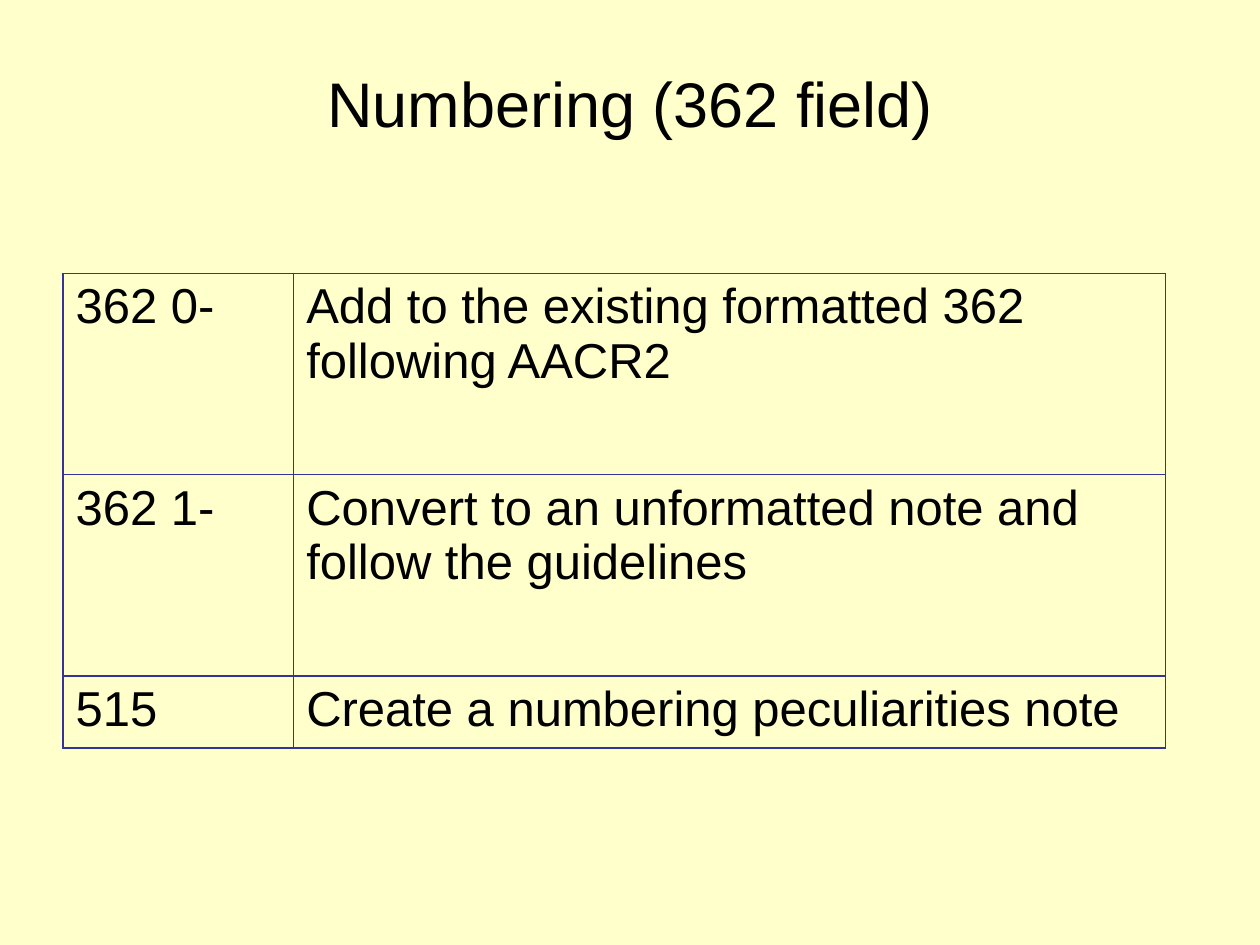
from dataclasses import dataclass

from lxml import etree
from pptx import Presentation
from pptx.dml.color import RGBColor
from pptx.enum.text import MSO_ANCHOR, PP_ALIGN
from pptx.oxml.ns import qn
from pptx.util import Cm, Pt

CENTER, LEFT = PP_ALIGN.CENTER, PP_ALIGN.LEFT
MIDDLE, TOP = MSO_ANCHOR.MIDDLE, MSO_ANCHOR.TOP
TITLE_ONLY = 5
CELL_SIDES = ("a:lnL", "a:lnR", "a:lnT", "a:lnB")


@dataclass(frozen=True)
class Theme:
    background: str = "FFFFCC"
    text: str = "000000"
    border: str = "333399"
    font: str = "Arial"
    title_size: int = 36
    cell_size: int = 28
    border_width: float = 0.75


@dataclass(frozen=True)
class FieldRule:
    field: str
    action: str
    height: float  # cm


THEME = Theme()
COLUMN_WIDTHS = (4.65, 17.57)  # cm
RULES = (
    FieldRule("362 0-", "Add to the existing formatted 362 following AACR2", 4.06),
    FieldRule("362 1-", "Convert to an unformatted note and follow the guidelines", 4.06),
    FieldRule("515", "Create a numbering peculiarities note", 1.45),
)


def write_text(tf, text: str, size: int, align) -> None:
    tf.word_wrap = True
    p = tf.paragraphs[0]
    p.text = text
    p.alignment = align
    p.font.name = THEME.font
    p.font.size = Pt(size)
    p.font.color.rgb = RGBColor.from_string(THEME.text)


def set_borders(cell) -> None:
    tc_pr = cell._tc.get_or_add_tcPr()
    for i, side in enumerate(CELL_SIDES):
        ln = etree.Element(qn(side), w=str(Pt(THEME.border_width)))
        fill = etree.SubElement(ln, qn("a:solidFill"))
        etree.SubElement(fill, qn("a:srgbClr"), val=THEME.border)
        tc_pr.insert(i, ln)  # borders come before the cell fill


def add_title(s, text: str) -> None:
    sp = s.shapes.title
    sp.left, sp.top, sp.width, sp.height = Cm(1.27), Cm(0.76), Cm(22.86), Cm(2.62)
    sp.text_frame.vertical_anchor = MIDDLE
    write_text(sp.text_frame, text, THEME.title_size, CENTER)


def add_rules_table(s, rules: tuple[FieldRule, ...]) -> None:
    table = s.shapes.add_table(
        len(rules), len(COLUMN_WIDTHS), Cm(1.27), Cm(5.51),
        Cm(sum(COLUMN_WIDTHS)), Cm(sum(rule.height for rule in rules)),
    ).table
    table.first_row = table.horz_banding = False
    for column, width in zip(table.columns, COLUMN_WIDTHS):
        column.width = Cm(width)
    for row, rule in zip(table.rows, rules):
        row.height = Cm(rule.height)
        for cell, text in zip(row.cells, (rule.field, rule.action)):
            cell.fill.background()
            cell.vertical_anchor = TOP
            set_borders(cell)
            write_text(cell.text_frame, text, THEME.cell_size, LEFT)


def main() -> None:
    prs = Presentation()
    prs.slide_width, prs.slide_height = Cm(25.4), Cm(19.05)
    s = prs.slides.add_slide(prs.slide_layouts[TITLE_ONLY])

    # Background
    s.background.fill.solid()
    s.background.fill.fore_color.rgb = RGBColor.from_string(THEME.background)

    # Title and table of fields
    add_title(s, "Numbering (362 field)")
    add_rules_table(s, RULES)
    prs.save("out.pptx")


if __name__ == "__main__":
    main()
